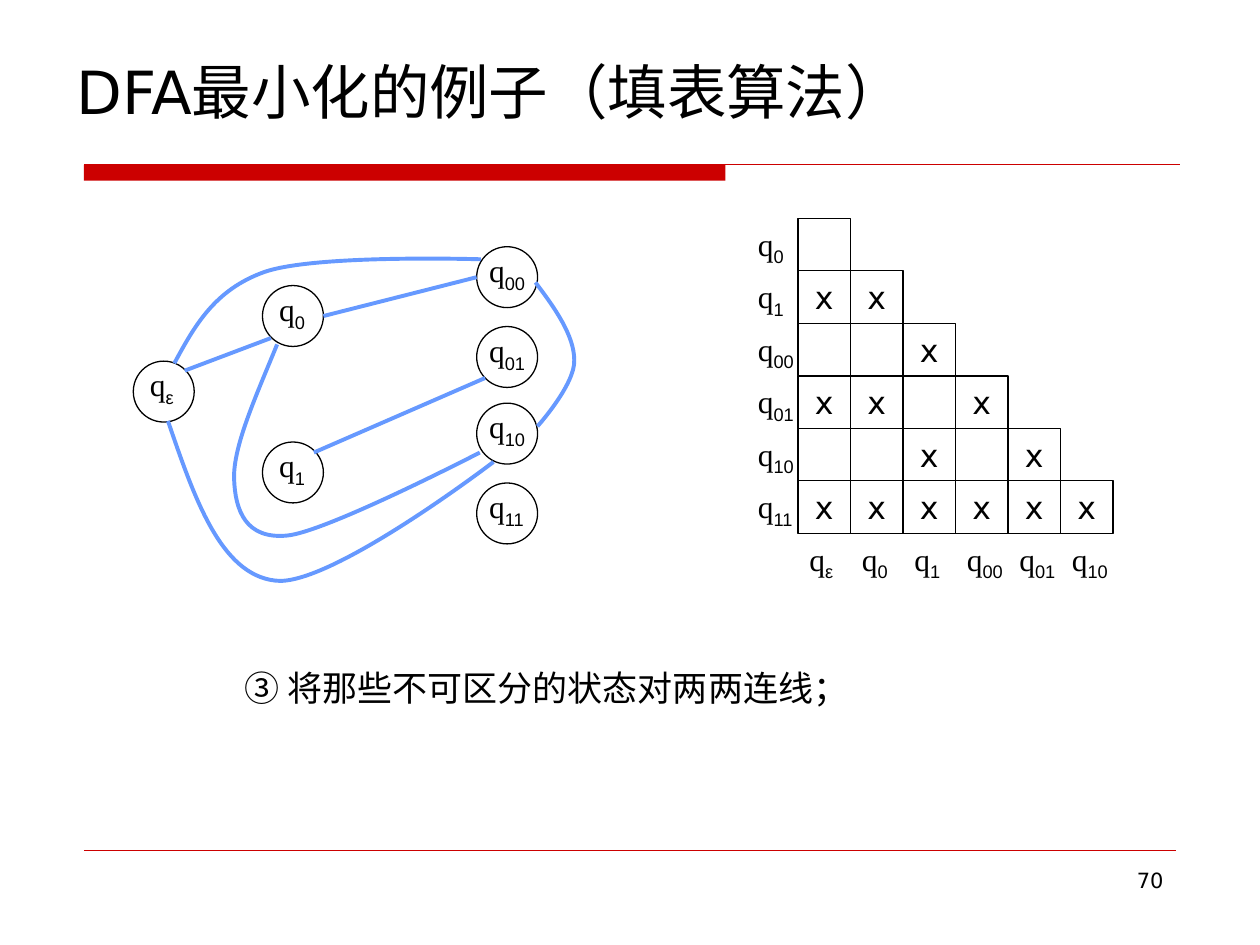
"""Build the slide on the table-filling example of DFA minimisation."""
from dataclasses import dataclass

import lxml.etree
import pptx
import pptx.dml.color
import pptx.enum.shapes
import pptx.enum.text
import pptx.oxml.ns
import pptx.util

SCALE = 7620
BLACK, WHITE, RED, BLUE = "000000", "FFFFFF", "CC0000", "6699FF"
SANS, SERIF, LABEL = "DejaVu Sans", "Times New Roman", "Arial"
CELL, NODE = 50, 58
TABLE_LEFT, TABLE_TOP = 760, 208
Point = tuple[int, int]


@dataclass(frozen=True)
class State:
    """A state of the automaton, with its circle's corner."""
    index: str
    left: int
    top: int


@dataclass(frozen=True)
class Link:
    """A straight line between two points."""
    start: Point
    end: Point
    colour: str = BLUE
    width: float = 2.25


@dataclass(frozen=True)
class Piece:
    """A stretch of text in one font."""
    text: str
    font: str
    baseline: int = 0


STATES = [
    State("ε", 127, 344),
    State("0", 250, 272),
    State("1", 250, 421),
    State("00", 454, 235),
    State("01", 454, 311),
    State("10", 454, 384),
    State("11", 454, 460),
]
MARKS = [".", "xx", "..x", "xx.x", "..x.x", "xxxxxx"]
RULES = [
    Link((80, 157), (1124, 157), RED, 0.75),
    Link((80, 810), (1120, 810), RED, 0.25),
]
LINKS = [
    Link((176, 353), (258, 322)),
    Link((299, 431), (462, 360)),
    Link((308, 301), (454, 264)),
]
CURVES: list[list[Point]] = [
    [(166, 346), (185, 311), (204, 276), (252, 259), (301, 242), (458, 247), (458, 247)],
    [(160, 401), (185, 474), (210, 547), (262, 553), (313, 560), (470, 440), (470, 440)],
    [(510, 269), (529, 294), (547, 320), (547, 343), (548, 366), (512, 406), (512, 406)],
    [(264, 328), (244, 377), (222, 425), (223, 456), (224, 486), (234, 514), (274, 510),
     (312, 506), (457, 431), (457, 431)],
]


def px(length: int) -> pptx.util.Emu:
    """Turn px into EMU."""
    return pptx.util.Emu(length * SCALE)


def colour(value: str) -> pptx.dml.color.RGBColor:
    """Turn a hex string into a colour."""
    return pptx.dml.color.RGBColor.from_string(value)


def style_line(line, value: str, width: float) -> None:
    """Set the colour and width of a line."""
    line.color.rgb = colour(value)
    line.width = pptx.util.Pt(width)


def style_font(font, name: str, size: int) -> None:
    """Set a black font."""
    font.name = name
    font.size = pptx.util.Pt(size)
    font.color.rgb = colour(BLACK)


def add_shape(slide, kind, left: int, top: int, width: int, height: int,
              fill: str | None = None, outline: str | None = BLACK):
    """Add a preset shape without shadow."""
    shape = slide.shapes.add_shape(kind, px(left), px(top), px(width), px(height))
    shape.shadow.inherit = False
    if fill:
        shape.fill.solid()
        shape.fill.fore_color.rgb = colour(fill)
    else:
        shape.fill.background()
    if outline:
        style_line(shape.line, outline, 0.75)
    else:
        shape.line.fill.background()
    return shape


def add_text(slide, left: int, top: int, width: int, height: int,
             pieces: list[Piece], size: int, wrap: bool = True):
    """Add a text box of one paragraph and return the paragraph."""
    frame = slide.shapes.add_textbox(px(left), px(top), px(width), px(height)).text_frame
    frame.word_wrap = wrap
    paragraph = frame.paragraphs[0]
    for piece in pieces:
        run = paragraph.add_run()
        run.text = piece.text
        style_font(run.font, piece.font, size)
        if piece.baseline:
            run._r.get_or_add_rPr().set("baseline", str(piece.baseline))
    return paragraph


def add_label(slide, index: str, left: int, top: int) -> None:
    """Add the name of a state, with its index below the baseline."""
    add_text(slide, left, top, 40 + 10 * len(index), 53,
             [Piece("q", SERIF), Piece(index, LABEL, -25000)], 18, wrap=False)


def add_link(slide, link: Link) -> None:
    """Add a straight connector without shadow."""
    connector = slide.shapes.add_connector(
        pptx.enum.shapes.MSO_CONNECTOR.STRAIGHT, *map(px, link.start + link.end))
    style_line(connector.line, link.colour, link.width)
    lxml.etree.SubElement(connector._element.spPr, pptx.oxml.ns.qn("a:effectLst"))


def add_curve(slide, points: list[Point]) -> None:
    """Add an open Bezier curve: a start, then three points a segment."""
    builder = slide.shapes.build_freeform(*points[0], scale=SCALE)
    builder.add_line_segments(points[1:], close=False)
    shape = builder.convert_to_shape()
    shape.shadow.inherit = False
    shape.fill.background()
    style_line(shape.line, BLUE, 2.25)
    path = next(shape._element.iter(pptx.oxml.ns.qn("a:path")))
    segments = path.findall(pptx.oxml.ns.qn("a:lnTo"))
    for first in range(0, len(segments), 3):
        bezier = lxml.etree.SubElement(path, pptx.oxml.ns.qn("a:cubicBezTo"))
        for segment in segments[first:first + 3]:
            bezier.append(segment[0])
            path.remove(segment)


def add_cell(slide, row: int, column: int, mark: str) -> None:
    """Add one square of the table, marked when the pair is distinguishable."""
    shape = add_shape(slide, pptx.enum.shapes.MSO_SHAPE.RECTANGLE,
                      TABLE_LEFT + column * CELL, TABLE_TOP + row * CELL, CELL, CELL)
    if mark == "x":
        frame = shape.text_frame
        frame.word_wrap = False
        frame.vertical_anchor = pptx.enum.text.MSO_ANCHOR.MIDDLE
        paragraph = frame.paragraphs[0]
        paragraph.text = mark
        paragraph.alignment = pptx.enum.text.PP_ALIGN.CENTER
        style_font(paragraph.font, SANS, 18)


def add_title(slide, text: str) -> None:
    """Place and format the title placeholder."""
    title = slide.shapes.title
    title.left, title.top, title.width, title.height = map(px, (61, 43, 1097, 86))
    frame = title.text_frame
    frame.text = text
    frame.auto_size = pptx.enum.text.MSO_AUTO_SIZE.NONE
    frame.vertical_anchor = pptx.enum.text.MSO_ANCHOR.MIDDLE
    paragraph = frame.paragraphs[0]
    paragraph.alignment = pptx.enum.text.PP_ALIGN.LEFT
    style_font(paragraph.font, SANS, 34)


def main() -> None:
    """Build and save the presentation."""
    presentation = pptx.Presentation()
    presentation.slide_width, presentation.slide_height = px(1200), px(900)
    slide = presentation.slides.add_slide(presentation.slide_layouts[5])
    add_title(slide, "DFA最小化的例子（填表算法）")
    add_shape(slide, pptx.enum.shapes.MSO_SHAPE.RECTANGLE, 80, 157, 611, 15, RED, None)
    number = add_text(slide, 860, 820, 260, 62, [Piece("70", SANS)], 12)
    number.alignment = pptx.enum.text.PP_ALIGN.RIGHT

    for state in STATES:
        add_shape(slide, pptx.enum.shapes.MSO_SHAPE.OVAL,
                  state.left, state.top, NODE, NODE, WHITE)
        add_label(slide, state.index, state.left + 8 - 4 * len(state.index), state.top - 2)
    for row, marks in enumerate(MARKS):
        for column, mark in enumerate(marks):
            add_cell(slide, row, column, mark)
        add_label(slide, STATES[row + 1].index, TABLE_LEFT - CELL, TABLE_TOP + row * CELL)
        add_label(slide, STATES[row].index, TABLE_LEFT - 1 + row * CELL,
                  TABLE_TOP + len(MARKS) * CELL)

    add_text(slide, 221, 629, 596, 53,
             [Piece("③", LABEL), Piece(" 将那些不可区分的状态对两两连线；", SANS)], 20)
    for link in RULES + LINKS:
        add_link(slide, link)
    for points in CURVES:
        add_curve(slide, points)
    presentation.save("out.pptx")


if __name__ == "__main__":
    main()
